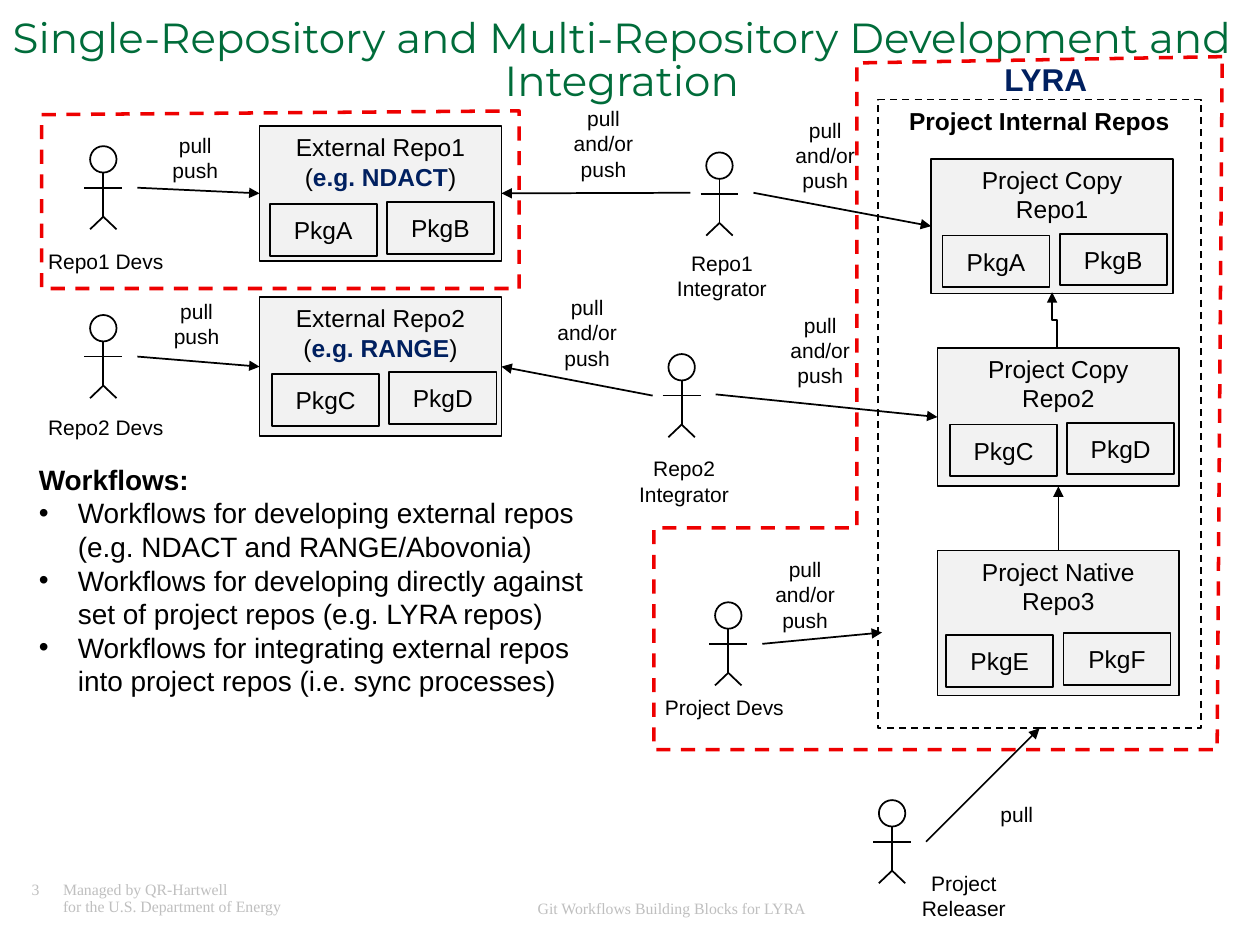
"""Build a slide that maps repositories, their people and the pull and push workflows."""
from lxml import etree
from pptx import Presentation
from pptx.dml.color import RGBColor
from pptx.enum.dml import MSO_LINE
from pptx.enum.shapes import MSO_CONNECTOR, MSO_SHAPE
from pptx.enum.text import MSO_ANCHOR, MSO_AUTO_SIZE, PP_ALIGN
from pptx.oxml.ns import qn
from pptx.util import Inches, Pt

BLACK = RGBColor(0x00, 0x00, 0x00)
GREEN = RGBColor(0x00, 0x6C, 0x3A)
NAVY = RGBColor(0x00, 0x20, 0x60)
RED = RGBColor(0xEE, 0x00, 0x00)
PALE = RGBColor(0xF2, 0xF2, 0xF2)
GRAY = RGBColor(0xBF, 0xBF, 0xBF)
RECTANGLE, OVAL = MSO_SHAPE.RECTANGLE, MSO_SHAPE.OVAL
STRAIGHT, ELBOW = MSO_CONNECTOR.STRAIGHT, MSO_CONNECTOR.ELBOW
CENTER, LEFT = PP_ALIGN.CENTER, PP_ALIGN.LEFT
TOP, MIDDLE = MSO_ANCHOR.TOP, MSO_ANCHOR.MIDDLE
TOP_SIDE, LEFT_SIDE, BOTTOM_SIDE, RIGHT_SIDE = range(4)

presentation = Presentation()
presentation.slide_width, presentation.slide_height = Inches(10), Inches(7.5)
COLUMN = presentation.slide_width // 100
ROW = presentation.slide_height // 75
slide = presentation.slides.add_slide(presentation.slide_layouts[5])


def add_box(left, top, width, height, text="", preset=None, size=12, color=BLACK,
            bold=False, align=CENTER, anchor=TOP, font="Arial", fill=None, shapes=slide.shapes):
    """Add a preset shape, or a text box when no preset is given."""
    place = [round(value) for value in (left * COLUMN, top * ROW, width * COLUMN, height * ROW)]
    if preset is None:
        shape = shapes.add_textbox(*place)
    else:
        shape = shapes.add_shape(preset, *place)
        shape.shadow.inherit = False
        shape.line.color.rgb = BLACK
        shape.line.width = Pt(1)
        if fill is None:
            shape.fill.background()
        else:
            shape.fill.solid()
            shape.fill.fore_color.rgb = fill
    frame = shape.text_frame
    frame.word_wrap = True
    frame.vertical_anchor = anchor
    if text:
        frame.text = text
    for paragraph in frame.paragraphs:
        paragraph.alignment = align
        for run in paragraph.runs:
            run.font.name, run.font.size = font, Pt(size)
            run.font.bold, run.font.color.rgb = bold, color
    return shape


def add_line(x1, y1, x2, y2, arrow=True, kind=STRAIGHT, shapes=slide.shapes):
    """Add a thin black connector, with an arrowhead at its end if wanted."""
    line = shapes.add_connector(kind, round(x1 * COLUMN), round(y1 * ROW),
                                round(x2 * COLUMN), round(y2 * ROW))
    line.line.color.rgb = BLACK
    line.line.width = Pt(1)
    if arrow:
        etree.SubElement(line.line._get_or_add_ln(), qn("a:tailEnd"), type="triangle")
    etree.SubElement(line._element.spPr, qn("a:effectLst"))
    return line


footer = add_box(2.5, 70, 30.8, 3.3, "3\tManaged by QR-Hartwell\v\tfor the U.S. Department of Energy",
                 size=9, color=GRAY, align=LEFT, font="Times New Roman")
footer_frame = footer.text_frame
footer_frame.margin_left = footer_frame.margin_right = 0
footer_frame.margin_top = footer_frame.margin_bottom = 0
footer_frame.paragraphs[0].line_spacing = 0.9
tabs = etree.SubElement(footer_frame.paragraphs[0]._p.get_or_add_pPr(), qn("a:tabLst"))
etree.SubElement(tabs, qn("a:tab"), pos=str(Inches(0.25)), algn="l")
add_box(29.8, 70.8, 47, 2.2, "Git Workflows Building Blocks for LYRA",
        size=9, color=GRAY, font="Times New Roman")

title = slide.shapes.title
title.left, title.top, title.width, title.height = 0, ROW, round(98.7 * COLUMN), round(7.9 * ROW)
title.text_frame.text = "Single-Repository and Multi-Repository Development and Integration"
title.text_frame.auto_size = MSO_AUTO_SIZE.NONE
title.text_frame.vertical_anchor = TOP
title_paragraph = title.text_frame.paragraphs[0]
title_paragraph.alignment = CENTER
title_paragraph.line_spacing = 0.85
title_font = title_paragraph.runs[0].font
title_font.name, title_font.size, title_font.color.rgb = "Montserrat", Pt(24), GREEN

repositories = {}
for key, left, top, height, text, product, packages, inset, drop in (
    ("external1", 20.6, 10, 10.7, "External Repo1 (", "e.g. NDACT", "AB", 0.8, 6.2),
    ("external2", 20.6, 23.6, 11, "External Repo2 (", "e.g. RANGE", "CD", 1, 6.1),
    ("native3", 74.4, 43.7, 11.5, "Project Native\nRepo3", "", "EF", 0.7, 6.7),
    ("copy1", 73.9, 12.6, 10.7, "Project Copy\nRepo1", "", "AB", 0.9, 6.1),
    ("copy2", 74.4, 27.6, 11, "Project Copy\nRepo2", "", "CD", 1, 6.1),
):
    repository = add_box(left, top, 19.2, height, text, RECTANGLE, 14, fill=PALE)
    repositories[key] = repository
    if product:
        for part, color, bold in ((product, NAVY, True), (")", BLACK, False)):
            run = repository.text_frame.paragraphs[0].add_run()
            run.text = part
            run.font.name, run.font.size = "Arial", Pt(14)
            run.font.bold, run.font.color.rgb = bold, color
    for index, letter in enumerate(packages):
        add_box(left + inset + 9.3 * index, top + drop - 0.15 * index, 8.5, 4.1,
                "Pkg" + letter, RECTANGLE, 14, anchor=MIDDLE, fill=PALE)

internal = add_box(69.7, 7.9, 25.6, 49.9, "Project Internal Repos", RECTANGLE, 14, bold=True)
internal.line.dash_style = MSO_LINE.DASH

for center, top, name, label_left, label_top in (
    (8.2, 11.6, "Repo1 Devs", 1.7, 19.2),
    (8.2, 25, "Repo2 Devs", 1.7, 32.4),
    (57.1, 12.1, "Repo1 Integrator", 50.6, 19.4),
    (54.1, 28.1, "Repo2 Integrator", 47.6, 35.7),
    (57.8, 47.8, "Project Devs", 50.8, 54.6),
    (70.8, 63.5, "Project Releaser", 69.8, 68.6),
):
    person = slide.shapes.add_group_shape().shapes
    add_box(center - 1.05, top, 2.1, 2.1, preset=OVAL, shapes=person)
    for x1, y1, x2, y2 in ((0, 2.1, 0, 5.6), (-1.5, 3.3, 1.5, 3.3),
                           (0, 5.6, -1.05, 6.6), (0, 5.6, 1.05, 6.6)):
        add_line(center + x1, top + y1, center + x2, top + y2, arrow=False, shapes=person)
    add_box(label_left, label_top, 13.4, 5, name)

for x, y, target, side in (
    (10.9, 14.9, repositories["external1"], LEFT_SIDE),
    (10.9, 28.3, repositories["external2"], LEFT_SIDE),
    (54.8, 15.3, repositories["external1"], RIGHT_SIDE),
    (51.8, 31.4, repositories["external2"], RIGHT_SIDE),
    (59.8, 15.3, repositories["copy1"], LEFT_SIDE),
    (56.8, 31.3, repositories["copy2"], LEFT_SIDE),
    (73.5, 66.8, internal, BOTTOM_SIDE),
):
    add_line(x, y, x, y).end_connect(target, side)
add_line(60.5, 51.1, 70, 50.2)
native_link = add_line(84, 43.7, 84, 38.6)
native_link.begin_connect(repositories["native3"], TOP_SIDE)
native_link.end_connect(repositories["copy2"], BOTTOM_SIDE)
copy_link = add_line(81.5, 25.6, 85.9, 25.2, kind=ELBOW)
copy_link._element.spPr.find(qn("a:xfrm")).set("rot", str(270 * 60000))

for left, top, text in (
    (8.8, 10, "pull\npush"),
    (8.9, 23.2, "pull\npush"),
    (41.2, 7.9, "pull\nand/or\npush"),
    (58.8, 8.8, "pull\nand/or\npush"),
    (39.9, 22.9, "pull\nand/or\npush"),
    (58.4, 24.3, "pull\nand/or\npush"),
    (57.2, 43.7, "pull\nand/or\npush"),
    (74, 63.1, "pull"),
):
    add_box(left, top, 13.4, 1 + 2 * len(text.split("\n")), text)

workflows = add_box(2.1, 36.2, 45.8, 22.5, "\n".join((
    "Workflows:",
    "Workflows for developing external repos (e.g. NDACT and RANGE/Abovonia)",
    "Workflows for developing directly against set of project repos (e.g. LYRA repos)",
    "Workflows for integrating external repos into project repos (i.e. sync processes)",
)), size=16, align=LEFT)
heading, *items = workflows.text_frame.paragraphs
heading.runs[0].font.bold = True
for paragraph in items:
    properties = paragraph._p.get_or_add_pPr()
    properties.set("marL", str(Inches(0.31)))
    properties.set("indent", str(-Inches(0.31)))
    etree.SubElement(properties, qn("a:buFont"), typeface="Arial")
    etree.SubElement(properties, qn("a:buChar"), char="•")

suite = add_box(78.5, 4.3, 9, 4, "LYRA", size=18, color=NAVY, bold=True)
suite.text_frame.word_wrap = False

for corners in (
    ((97, 4.5), (68, 5), (68, 41.9), (51.9, 41.9), (51.9, 59.5), (96.6, 59.5)),
    ((41.2, 22.9), (41.2, 8.8), (3.3, 9.1), (3.3, 22.9)),
):
    points = [(round(x * COLUMN), round(y * ROW)) for x, y in corners]
    builder = slide.shapes.build_freeform(*points[0])
    builder.add_line_segments(points[1:], close=True)
    boundary = builder.convert_to_shape()
    boundary.shadow.inherit = False
    boundary.fill.background()
    boundary.line.color.rgb = RED
    boundary.line.width = Pt(2)
    boundary.line.dash_style = MSO_LINE.DASH

presentation.save("out.pptx")
